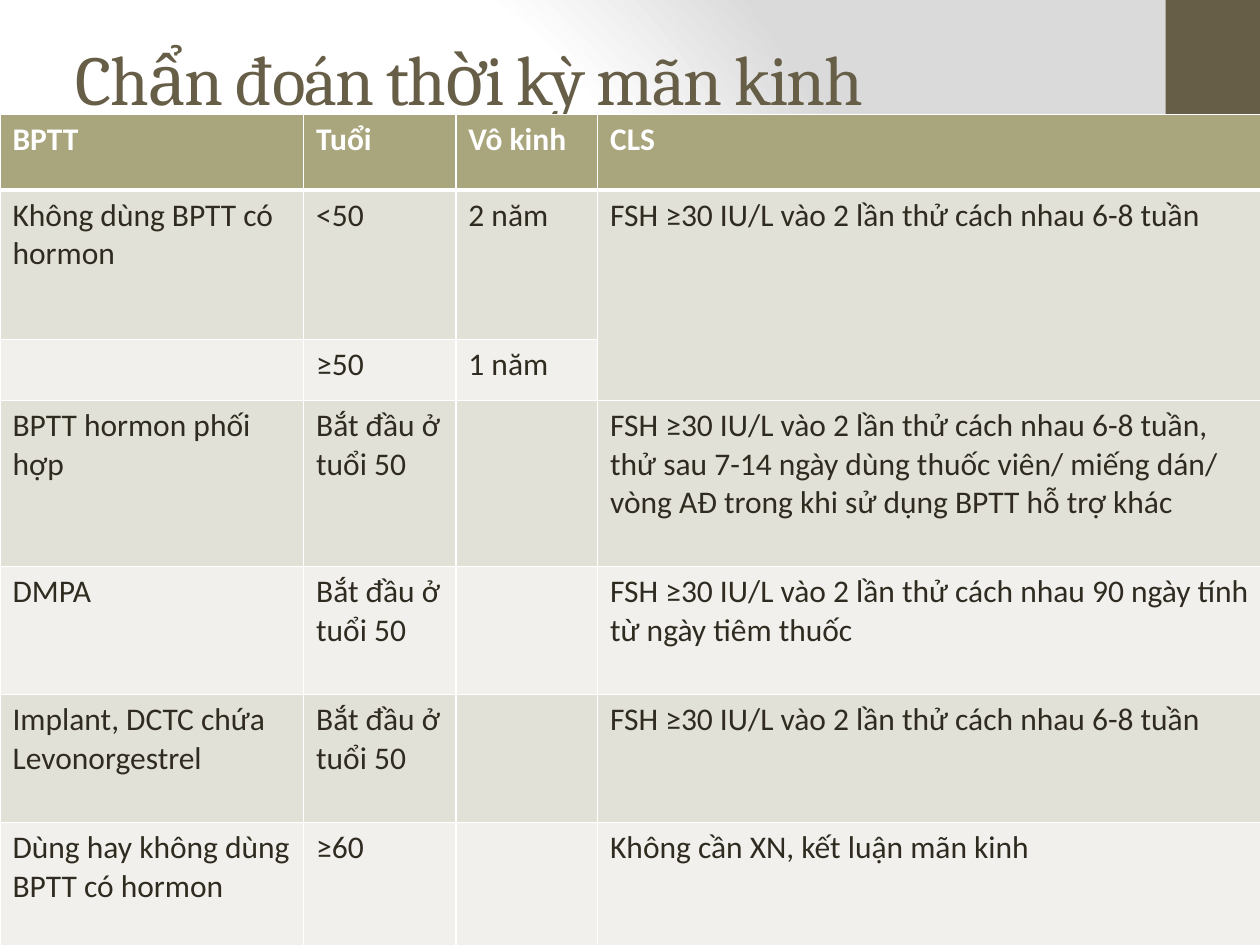
from dataclasses import dataclass
from lxml.etree import SubElement
from pptx import Presentation
from pptx.dml.color import RGBColor
from pptx.enum.shapes import MSO_SHAPE
from pptx.enum.text import MSO_ANCHOR, MSO_AUTO_SIZE, PP_ALIGN
from pptx.oxml import parse_xml
from pptx.oxml.ns import nsdecls, qn
from pptx.util import Pt


@dataclass(frozen=True)
class Theme:
    brown: str = "675E47"
    olive: str = "A9A57C"
    ink: str = "2F2B20"
    white: str = "FFFFFF"
    grey: str = "DADADA"
    bands: tuple = ("E2E1D7", "F1F0EC")
    head: int = 40
    body: int = 18
    serif: str = "Cambria"
    sans: str = "Calibri"


theme = Theme()


def write(frame, text, font=theme.sans, size=theme.body, color=theme.ink, bold=False, track=0):
    part = frame.paragraphs[0]
    part.alignment = PP_ALIGN.LEFT
    run = part.add_run()
    run.text = text
    run.font.name = font
    run.font.size = Pt(size)
    run.font.bold = bold
    run.font.color.rgb = RGBColor.from_string(color)
    if track:
        run.font._element.set("spc", str(track * 100))


def border(cell, base):
    props = cell._tc.get_or_add_tcPr()
    for side, width in (("lnL", 1), ("lnR", 1), ("lnT", 1), ("lnB", base)):
        line = SubElement(props, qn(f"a:{side}"), w=str(Pt(width)))
        fill = SubElement(line, qn("a:solidFill"))
        SubElement(fill, qn("a:srgbClr"), val=theme.white)


deck = Presentation()
deck.slide_width, deck.slide_height = Pt(720), Pt(540)
slide = deck.slides.add_slide(deck.slide_layouts[5])

stops = ((0, theme.white), (75, theme.white), (100, theme.grey))
marks = "".join(
    f'<a:gs pos="{pos * 1000}"><a:srgbClr val="{color}"/></a:gs>' for pos, color in stops
)
slide._element.cSld.insert(0, parse_xml(
    f'<p:bg {nsdecls("p", "a")}><p:bgPr><a:gradFill rotWithShape="1"><a:gsLst>{marks}</a:gsLst>'
    '<a:path path="circle"><a:fillToRect l="20000" t="50000" r="100000" b="50000"/></a:path>'
    '</a:gradFill><a:effectLst/></p:bgPr></p:bg>'
))

for top, height, color in ((0, 540, theme.brown), (432, 54, theme.olive)):
    bar = slide.shapes.add_shape(MSO_SHAPE.RECTANGLE, Pt(666), Pt(top), Pt(54), Pt(height))
    bar.shadow.inherit = False
    bar.fill.solid()
    bar.fill.fore_color.rgb = RGBColor.from_string(color)
    bar.line.fill.background()

title = slide.shapes.title
title.left, title.top, title.width, title.height = Pt(36), Pt(-0.7), Pt(600), Pt(90)
title.text_frame.auto_size = MSO_AUTO_SIZE.NONE
title.text_frame.vertical_anchor = MSO_ANCHOR.MIDDLE
write(title.text_frame, "Chẩn đoán thời kỳ mãn kinh",
      font=theme.serif, size=theme.head, color=theme.brown, track=-1)

start = "Bắt đầu ở tuổi 50"
test = "FSH ≥30 IU/L vào 2 lần thử cách nhau"
weeks = f"{test} 6-8 tuần"
rows = (
    ("BPTT", "Tuổi", "Vô kinh", "CLS"),
    ("Không dùng BPTT có hormon", "<50", "2 năm", weeks),
    ("", "≥50", "1 năm", ""),
    ("BPTT hormon phối hợp", start, "",
     f"{weeks}, thử sau 7-14 ngày dùng thuốc viên/ miếng dán/ vòng AĐ "
     "trong khi sử dụng BPTT hỗ trợ khác"),
    ("DMPA", start, "", f"{test} 90 ngày tính từ ngày tiêm thuốc"),
    ("Implant, DCTC chứa Levonorgestrel", start, "", weeks),
    ("Dùng hay không dùng BPTT có hormon", "≥60", "", "Không cần XN, kết luận mãn kinh"),
)
widths = (173.5, 87, 81, 383)
heights = (43, 85.5, 34.8, 95, 73.1, 73.1, 73.1)

grid = slide.shapes.add_table(
    len(rows), len(widths), Pt(0), Pt(65.5), Pt(sum(widths)), Pt(sum(heights))
).table
for column, width in zip(grid.columns, widths):
    column.width = Pt(width)
for index, (words, height) in enumerate(zip(rows, heights)):
    first = index == 0
    grid.rows[index].height = Pt(height)
    shade = theme.olive if first else theme.bands[(index - 1) % 2]
    for place, text in enumerate(words):
        cell = grid.cell(index, place)
        border(cell, 3 if first else 1)
        cell.fill.solid()
        cell.fill.fore_color.rgb = RGBColor.from_string(shade)
        if text:
            write(cell.text_frame, text, bold=first, color=theme.white if first else theme.ink)
grid.cell(1, 3).merge(grid.cell(2, 3))

deck.save("out.pptx")
